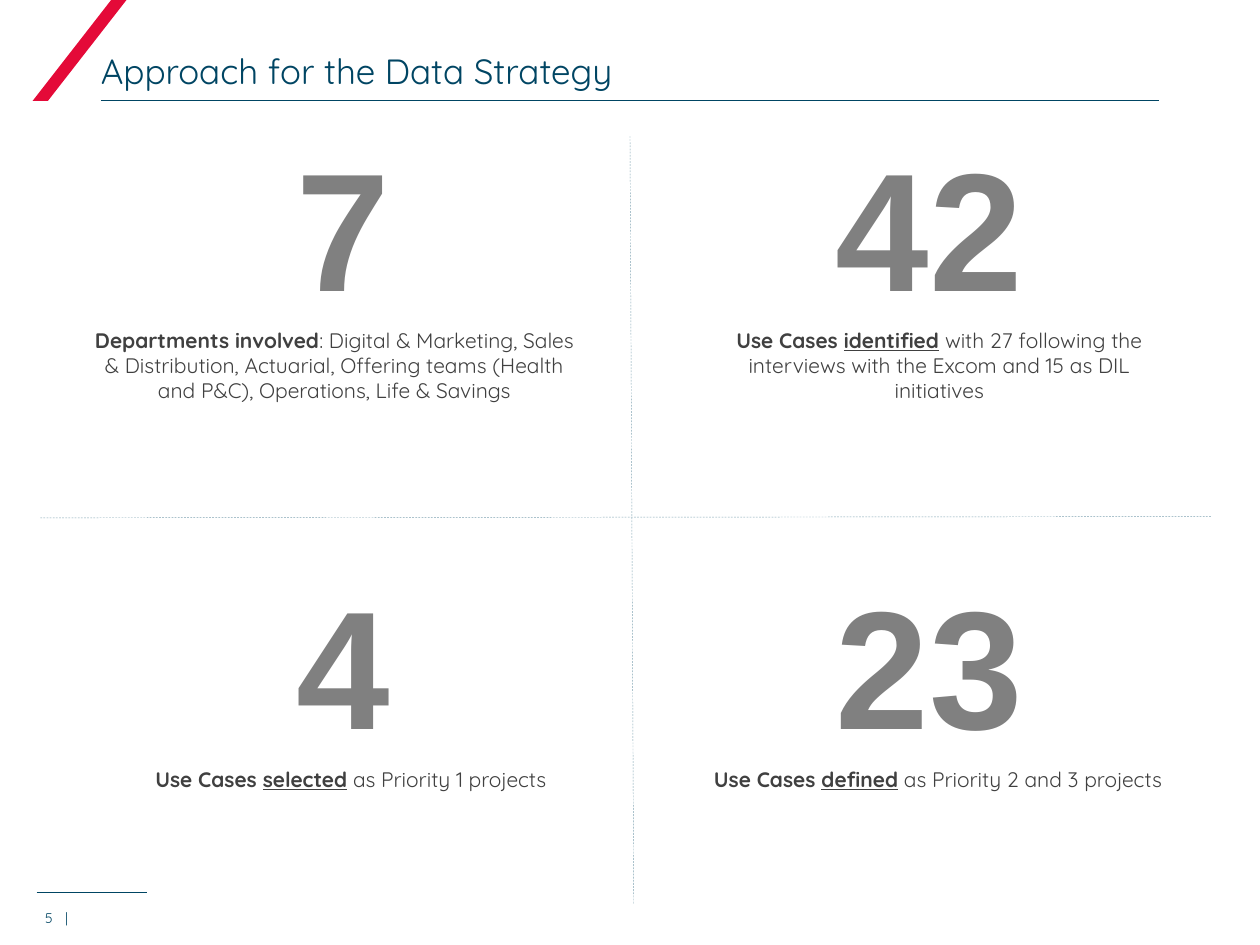
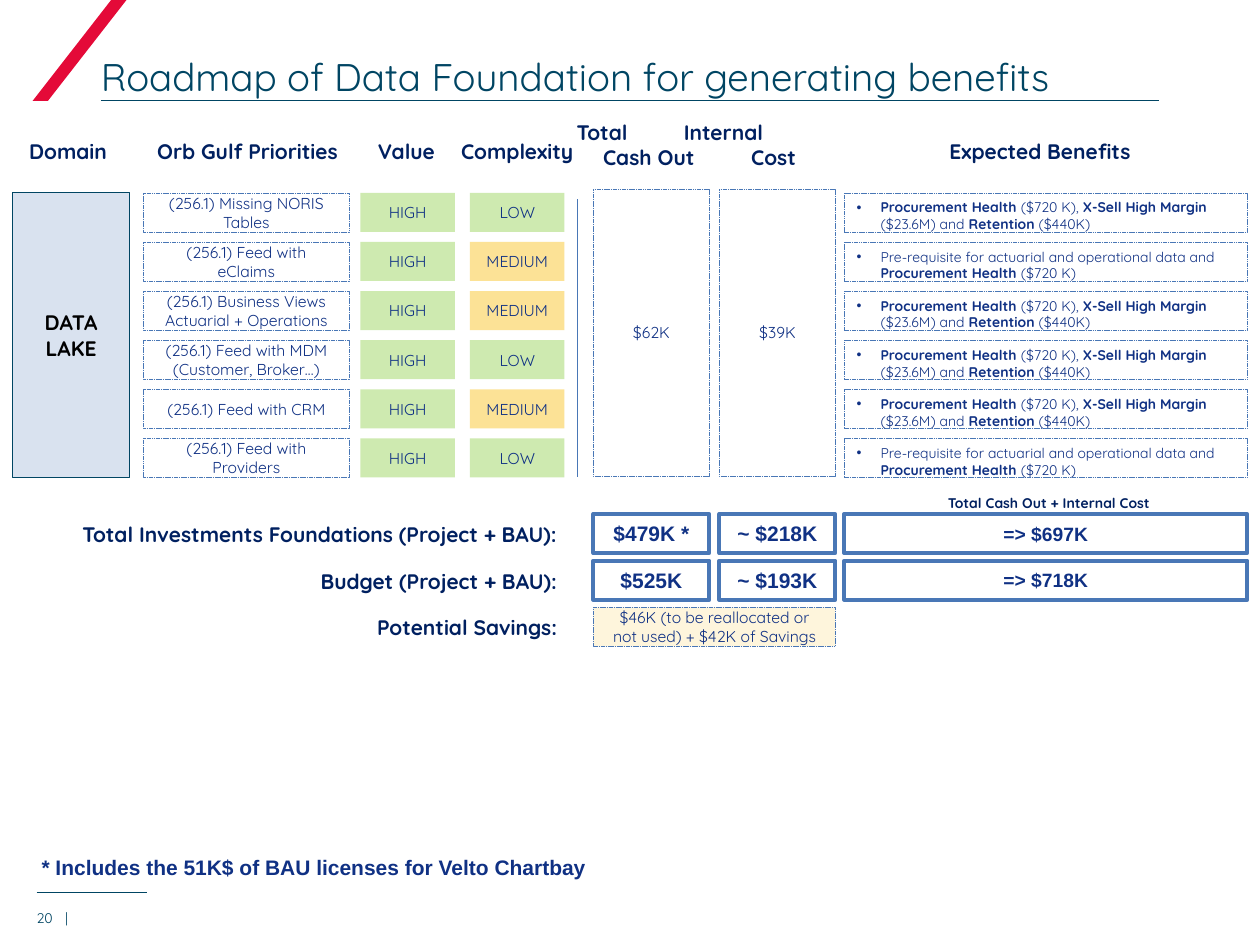
from lxml.etree import SubElement
from pptx import Presentation
from pptx.dml.color import RGBColor
from pptx.enum.dml import MSO_LINE
from pptx.enum.shapes import MSO_CONNECTOR, MSO_SHAPE
from pptx.enum.text import MSO_ANCHOR, PP_ALIGN
from pptx.oxml.ns import qn
from pptx.util import Inches, Pt

COLORS = {
    "petrol": "004563", "red": "E40A38", "mist": "7FA2B1",
    "number": "808080", "body": "404040", "navy": "002060",
    "ink": "103184", "border": "4977B6", "white": "FFFFFF", "black": "000000",
    "domain": "D9E2EF", "green": "CEEAB0", "yellow": "FCE296", "cream": "FEF5DC",
}
FONT, NUMBER_FONT = "Quicksand", "Arial"
CENTER, LEFT, RIGHT = PP_ALIGN.CENTER, PP_ALIGN.LEFT, PP_ALIGN.RIGHT
TOP, MIDDLE, BOTTOM = MSO_ANCHOR.TOP, MSO_ANCHOR.MIDDLE, MSO_ANCHOR.BOTTOM
NO_INSET, HEADER_INSET, CELL_INSET = (0, 0), (0, 0.05), (0.1, 0.05)

# Roadmap grid: left edge and width of each column, then the row rule
COLUMNS = {
    "domain": (0.1, 0.93), "priority": (1.14, 1.63), "value": (2.86, 0.75),
    "complexity": (3.73, 0.75), "cash": (4.71, 0.92), "internal": (5.71, 0.92),
    "benefits": (6.7, 3.2),
}
FIRST_ROW, ROW_PITCH, ROW_HEIGHT = 1.53, 0.39, 0.31
FIRST_TOTAL, TOTAL_PITCH = 4.08, 0.37
LEVELS = {"HIGH": "green", "LOW": "green", "MEDIUM": "yellow"}

MARGIN_GAINS = [("Procurement Health ", "b"), ("($720 K), ", ""),
                ("X-Sell High Margin", "b"), (" ($23.6M) and ", ""),
                ("Retention", "b"), (" ($440K)", "")]
PREREQUISITE = [("Pre-requisite for actuarial and operational data and ", ""),
                ("Procurement Health ", "b"), ("($720 K)", "")]
# Priority lines, complexity, expected benefits
PRIORITIES = [
    (["(256.1) Missing NORIS Tables"], "LOW", MARGIN_GAINS),
    (["(256.1) Feed with eClaims"], "MEDIUM", PREREQUISITE),
    (["(256.1) Business Views", "Actuarial + Operations"], "MEDIUM", MARGIN_GAINS),
    (["(256.1) Feed with MDM (Customer, Broker…)"], "LOW", MARGIN_GAINS),
    (["(256.1) Feed with CRM"], "MEDIUM", MARGIN_GAINS),
    (["(256.1) Feed with Providers"], "LOW", PREREQUISITE),
]
# Label, cash out, internal cost, sum
TOTALS = [
    ("Total Investments Foundations (Project + BAU):", "$479K *", "~ $218K", "=> $697K"),
    ("Budget (Project + BAU):", "$525K", "~ $193K", "=> $718K"),
]
# Horizontal centre, width and text of the one-line headers
HEADERS = [(0.54, 1.28, "Domain"), (1.965, 2.45, "Orb Gulf Priorities"),
           (3.225, 2.45, "Value"), (4.105, 2.45, "Complexity"),
           (8.255, 2.31, "Expected Benefits")]
# Left edge, both lines, and indent of the first line
COST_HEADERS = [(4.38, ["Total", "Cash Out"], 0.17),
                (5.37, ["Internal", "Cost"], 0.03)]

# Quadrants: column, row, number, label left and width, label spans
QUADRANTS = [
    (0, 0, "7", 0.72, 3.87, [
        ("Departments involved", "b"),
        (": Digital & Marketing, Sales & Distribution, Actuarial, Offering teams "
         "(Health and P&C), Operations, Life & Savings", "")]),
    (1, 0, "42", 5.63, 3.65, [
        ("Use Cases ", "b"), ("identified", "bu"), (" ", "b"),
        ("with 27 following the interviews with the Excom and 15 as DIL initiatives", "")]),
    (0, 1, "4", 0.94, 3.69, [
        ("Use Cases ", "b"), ("selected", "bu"), (" as Priority 1 projects", "")]),
    (1, 1, "23", 5.6, 3.69, [
        ("Use Cases ", "b"), ("defined", "bu"), (" as Priority 2 and 3 projects", "")]),
]


def color(name):
    return RGBColor.from_string(COLORS[name])


def write(shape, paragraphs, size, ink, bold=False, align=CENTER, anchor=MIDDLE,
          inset=CELL_INSET, font=FONT):
    """Fill a shape; each paragraph is a string or a list of (text, style) spans."""
    frame = shape.text_frame
    frame.word_wrap = True
    frame.vertical_anchor = anchor
    frame.margin_left = frame.margin_right = Inches(inset[0])
    frame.margin_top = frame.margin_bottom = Inches(inset[1])
    for index, spans in enumerate(paragraphs):
        para = frame.add_paragraph() if index else frame.paragraphs[0]
        para.alignment = align
        para.font.name, para.font.size = font, Pt(size)
        para.font.bold = bold
        para.font.color.rgb = color(ink)
        if isinstance(spans, str):
            spans = [(spans, "b" if bold else "")]
        for text, style in spans:
            span = para.add_run()
            span.text = text
            span.font.bold = "b" in style
            if "u" in style:
                span.font.underline = True
    return frame


def add_text(page, at, text, size, ink, **style):
    box = page.shapes.add_textbox(*map(Inches, at))
    style = {"inset": NO_INSET, "anchor": TOP, **style}
    return write(box, [text], size, ink, **style)


def add_box(page, at, fill=None, border=None, width=0.25, dash=None,
            kind=MSO_SHAPE.RECTANGLE):
    box = page.shapes.add_shape(kind, *map(Inches, at))
    box.shadow.inherit = False
    if fill:
        box.fill.solid()
        box.fill.fore_color.rgb = color(fill)
    else:
        box.fill.background()
    if border:
        box.line.color.rgb = color(border)
        box.line.width = Pt(width)
        if dash:
            box.line.dash_style = dash
    else:
        box.line.fill.background()
    return box


def add_line(page, start, end, ink, width, dash=None):
    line = page.shapes.add_connector(
        MSO_CONNECTOR.STRAIGHT, *map(Inches, (*start, *end)))
    line.line.color.rgb = color(ink)
    line.line.width = Pt(width)
    if dash:
        line.line.dash_style = dash
    SubElement(line._element.spPr, qn("a:effectLst"))


def add_dashed_box(page, at, fill="white"):
    return add_box(page, at, fill, "border", dash=MSO_LINE.SQUARE_DOT)


def add_header(page, at, lines, size=12, align=CENTER):
    box = add_box(page, at, kind=MSO_SHAPE.ROUNDED_RECTANGLE)
    return write(box, lines, size, "navy", bold=True, align=align, inset=HEADER_INSET)


def indent(para, left, first=0):
    properties = para._p.get_or_add_pPr()
    properties.set("marL", str(Inches(left)))
    properties.set("indent", str(Inches(first)))
    return properties


def add_bullet(para):
    properties = indent(para, 0.19, -0.19)
    SubElement(properties, qn("a:buFont")).set("typeface", "Arial")
    SubElement(properties, qn("a:buChar")).set("char", "•")


def start_page(deck, number, title, size, title_top):
    """Add a page with the red slash, rules, title and page number."""
    page = deck.slides.add_slide(deck.slide_layouts[6])
    add_line(page, (0.29, 7.08), (1.17, 7.08), "petrol", 0.5)
    slash = add_box(page, (0.26, -0.02, 0.76, 0.82), "red",
                    kind=MSO_SHAPE.PARALLELOGRAM)
    slash.adjustments[0] = 0.84
    add_line(page, (0.8, 0.8), (9.2, 0.8), "petrol", 0.5)
    for right, text in ((0.42, number), (0.54, "|")):
        add_text(page, (right - 0.3, 7.12, 0.3, 0.23), text, 8, "petrol",
                 align=RIGHT, anchor=BOTTOM)
    add_text(page, (0.8, title_top, 8.99, 0.37), title, size, "petrol",
             align=LEFT, anchor=BOTTOM)
    return page


def build_approach(deck):
    page = start_page(deck, "5", "Approach for the Data Strategy", 20, 0.36)
    # Dividers
    add_line(page, (0.32, 4.11), (9.62, 4.1), "mist", 0.25, MSO_LINE.DASH)
    add_line(page, (5, 1.08), (5.03, 7.18), "mist", 0.25, MSO_LINE.DASH)
    # Key numbers
    for column, row, number, left, width, label in QUADRANTS:
        top = 0.98 + row * 3.48
        add_text(page, (1.33 + column * 4.65, top, 2.79, 1.62), number, 96,
                 "number", bold=True, font=NUMBER_FONT)
        add_text(page, (left, top + 1.62, width, 0.61), label, 12, "body")


def cell(column, top, height=ROW_HEIGHT):
    left, width = COLUMNS[column]
    return left, top, width, height


def add_priority_row(page, top, priority, complexity, benefits):
    write(add_dashed_box(page, cell("priority", top)), priority, 9, "ink")
    for column, level in (("value", "HIGH"), ("complexity", complexity)):
        write(add_box(page, cell(column, top), LEVELS[level]), [level], 9, "ink")
    box = add_dashed_box(page, cell("benefits", top))
    frame = write(box, [benefits], 8, "ink", align=LEFT, anchor=TOP)
    add_bullet(frame.paragraphs[0])


def add_total_label(page, top, text):
    add_header(page, (0.33, top - 0.01, 4.11, 0.34), [text], align=RIGHT)


def build_roadmap(deck):
    page = start_page(deck, "20", "Roadmap of Data Foundation for generating benefits",
                      22, 0.42)
    # Column headers
    for center, width, text in HEADERS:
        add_header(page, (center - width / 2, 1.03, width, 0.34), [text])
    for left, lines, offset in COST_HEADERS:
        first = add_header(page, (left, 0.87, 1.54, 0.56), lines).paragraphs[0]
        first.alignment = LEFT
        indent(first, offset)

    # Domain, priorities and shared costs
    domain = add_box(page, cell("domain", FIRST_ROW, 2.26), "domain", "petrol")
    write(domain, ["DATA LAKE"], 12, "black", bold=True)
    for row, priority in enumerate(PRIORITIES):
        add_priority_row(page, FIRST_ROW + row * ROW_PITCH, *priority)
    add_line(page, (4.58, 3.78), (4.58, 1.58), "border", 0.25, MSO_LINE.ROUND_DOT)
    for column, cost in (("cash", "$62K"), ("internal", "$39K")):
        write(add_dashed_box(page, cell(column, 1.5, 2.28)), [cost], 9, "ink")

    # Totals
    add_header(page, (7.35, 3.86, 1.95, 0.26), ["Total Cash Out + Internal Cost"], 8)
    for row, (label, *amounts) in enumerate(TOTALS):
        top = FIRST_TOTAL + row * TOTAL_PITCH
        add_total_label(page, top, label)
        for column, amount in zip(("cash", "internal", "benefits"), amounts):
            box = add_box(page, cell(column, top), "white", "border", 2.25)
            write(box, [amount], 11 if column == "benefits" else 12, "ink",
                  bold=True, font=NUMBER_FONT)

    # Savings and footnote
    top = FIRST_TOTAL + len(TOTALS) * TOTAL_PITCH
    add_total_label(page, top, "Potential Savings:")
    savings = add_dashed_box(page, (COLUMNS["cash"][0], top, 1.92, ROW_HEIGHT), "cream")
    write(savings, ["$46K (to be reallocated or not used) + $42K of Savings"], 9, "ink")
    add_text(page, (0.33, 6.78, 4.93, 0.2),
             "* Includes the 51K$ of BAU licenses for Velto Chartbay", 12, "ink",
             bold=True, align=LEFT, font=NUMBER_FONT)


def main():
    deck = Presentation()
    deck.slide_width, deck.slide_height = Inches(10), Inches(7.5)
    build_approach(deck)
    build_roadmap(deck)
    deck.save("out.pptx")


if __name__ == "__main__":
    main()
